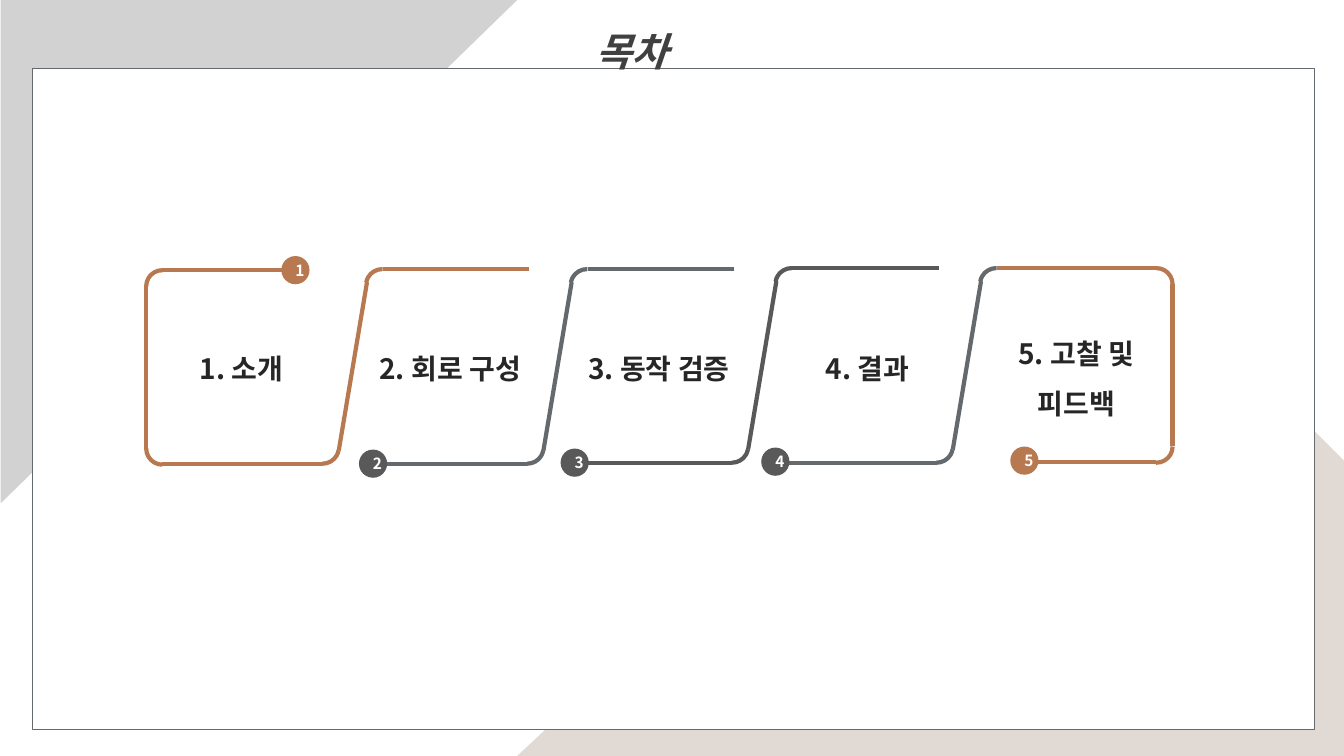
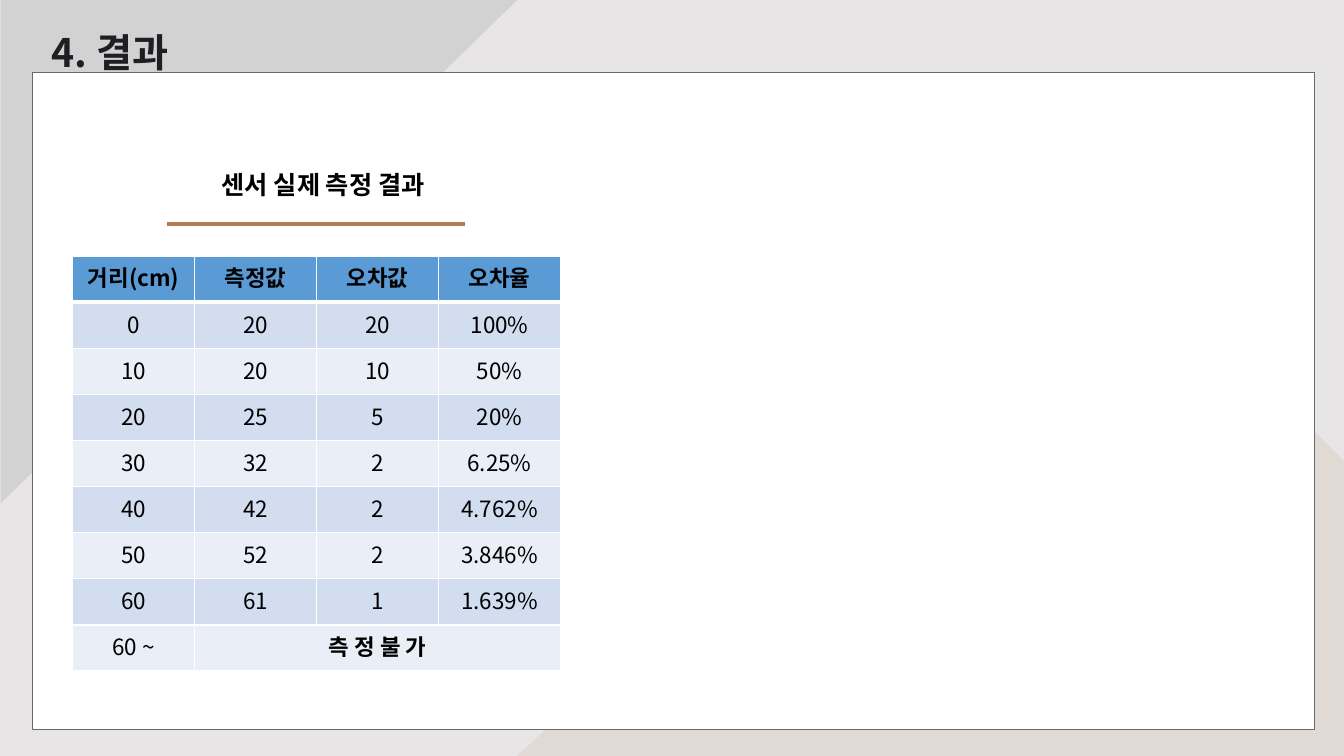
from dataclasses import dataclass

from lxml import etree
from pptx import Presentation
from pptx.dml.color import RGBColor
from pptx.enum.shapes import MSO_CONNECTOR, MSO_SHAPE
from pptx.enum.text import MSO_ANCHOR, MSO_AUTO_SIZE, PP_ALIGN
from pptx.oxml.ns import qn
from pptx.util import Pt

# Scale: 100 px to the inch
PX = 9144
SLIDE_WIDTH, SLIDE_HEIGHT = 1333, 750

FONT = "Noto Sans CJK KR"
WHITE = RGBColor(0xFF, 0xFF, 0xFF)
BLACK = RGBColor(0x00, 0x00, 0x00)
INK = RGBColor(0x1E, 0x1E, 0x23)
TITLE_GRAY = RGBColor(0x40, 0x40, 0x40)
LABEL_GRAY = RGBColor(0x26, 0x26, 0x26)
COPPER = RGBColor(0xB8, 0x78, 0x50)
SLATE = RGBColor(0x64, 0x69, 0x6D)
CHARCOAL = RGBColor(0x59, 0x59, 0x59)
CORNER_GRAY = RGBColor(0xD2, 0xD2, 0xD2)
CORNER_BEIGE = RGBColor(0xE1, 0xDA, 0xD4)
PALE_GRAY = RGBColor(0xE7, 0xE5, 0xE6)
HEADER_BLUE = RGBColor(0x5B, 0x9B, 0xD5)
BANDS = (RGBColor(0xD2, 0xDE, 0xEF), RGBColor(0xEA, 0xEF, 0xF7))

ARC, ELLIPSE = MSO_SHAPE.ARC, MSO_SHAPE.OVAL
RECTANGLE, TRIANGLE = MSO_SHAPE.RECTANGLE, MSO_SHAPE.RIGHT_TRIANGLE
STRAIGHT = MSO_CONNECTOR.STRAIGHT
LEFT, CENTER = PP_ALIGN.LEFT, PP_ALIGN.CENTER
TOP, MIDDLE = MSO_ANCHOR.TOP, MSO_ANCHOR.MIDDLE

RIBBON_WIDTH = 3
CORNER_SIZE = 32
BADGE_SIZE = 28
SQUARE_START, SLANTED_START, ARC_END = 162, 168, 1.2


@dataclass(frozen=True)
class Box:
    left: int
    top: int
    width: int
    height: int

    def emu(self) -> tuple[int, ...]:
        return tuple(v * PX for v in (self.left, self.top, self.width, self.height))


@dataclass(frozen=True)
class TextStyle:
    size: int
    color: RGBColor
    bold: bool = True
    italic: bool = False
    align: PP_ALIGN = CENTER
    spacing: float = 1.0


@dataclass(frozen=True)
class Stroke:
    x1: int
    y1: int
    x2: int
    y2: int


@dataclass(frozen=True)
class Corner:
    left: int
    top: int
    rotation: int
    start: int = SQUARE_START


@dataclass(frozen=True)
class Bend:
    color: RGBColor
    top_color: RGBColor
    top_length: int = 145


@dataclass(frozen=True)
class Step:
    label: str
    badge_left: int
    badge_top: int
    badge_color: RGBColor


LABEL_STYLE = TextStyle(20, LABEL_GRAY, spacing=1.5)
BADGE_STYLE = TextStyle(11, WHITE)
HEADING_STYLE = TextStyle(18, BLACK)
HEADER_STYLE = TextStyle(16, BLACK)
VALUE_STYLE = TextStyle(16, BLACK, bold=False)

BENDS = (
    Bend(COPPER, COPPER),
    Bend(SLATE, SLATE),
    Bend(CHARCOAL, CHARCOAL),
    Bend(SLATE, COPPER, 159),
)
END_STROKES = (
    Stroke(161, 268, 287, 268),
    Stroke(145, 283, 145, 444),
    Stroke(1147, 458, 1021, 458),
    Stroke(1163, 442, 1163, 282),
)
END_CORNERS = (
    Corner(145, 268, 270),
    Corner(145, 429, 180),
    Corner(1131, 427, 90),
    Corner(1131, 266, 0),
)
STEPS = (
    Step("1. 소개", 279, 254, COPPER),
    Step("2. 회로 구성", 356, 446, CHARCOAL),
    Step("3. 동작 검증", 556, 445, CHARCOAL),
    Step("4. 결과", 755, 444, CHARCOAL),
    Step("5. 고찰 및 피드백", 1002, 443, COPPER),
)
MEASUREMENTS = (
    ("거리(cm)", "측정값", "오차값", "오차율"),
    ("0", "20", "20", "100%"),
    ("10", "20", "10", "50%"),
    ("20", "25", "5", "20%"),
    ("30", "32", "2", "6.25%"),
    ("40", "42", "2", "4.762%"),
    ("50", "52", "2", "3.846%"),
    ("60", "61", "1", "1.639%"),
    ("60 ~", "측 정 불 가"),
)


# Drawing helpers
def write(text_frame, text: str, style: TextStyle) -> None:
    paragraph = text_frame.paragraphs[0]
    paragraph.alignment = style.align
    paragraph.line_spacing = style.spacing
    run = paragraph.add_run()
    run.text = text
    font = run.font
    font.name, font.size = FONT, Pt(style.size)
    font.bold, font.italic = style.bold, style.italic
    font.color.rgb = style.color
    properties = run._r.get_or_add_rPr()
    etree.SubElement(properties, qn("a:ea"), typeface=FONT)


def paint(shape, fill: RGBColor | None, line: RGBColor | None = None, width: int = 1) -> None:
    shape.shadow.inherit = False
    if fill is None:
        shape.fill.background()
    else:
        shape.fill.solid()
        shape.fill.fore_color.rgb = fill
    if line is None:
        shape.line.fill.background()
    else:
        shape.line.color.rgb = line
        shape.line.width = Pt(width)


def draw_stroke(slide, stroke: Stroke, color: RGBColor) -> None:
    ends = (stroke.x1, stroke.y1, stroke.x2, stroke.y2)
    connector = slide.shapes.add_connector(STRAIGHT, *(v * PX for v in ends))
    connector.line.color.rgb = color
    connector.line.width = Pt(RIBBON_WIDTH)
    etree.SubElement(connector.element.spPr, qn("a:effectLst"))


def draw_corner(slide, corner: Corner, color: RGBColor) -> None:
    box = Box(corner.left, corner.top, CORNER_SIZE, CORNER_SIZE)
    arc = slide.shapes.add_shape(ARC, *box.emu())
    arc.adjustments[0], arc.adjustments[1] = corner.start, ARC_END
    arc.rotation = corner.rotation
    paint(arc, None, color, RIBBON_WIDTH)


def draw_bend(slide, index: int, bend: Bend) -> None:
    x, rise = 203 * index, index // 2
    bottom, top = 460 - rise, 267 - rise
    draw_stroke(slide, Stroke(161 + x, bottom, 320 + x, bottom), bend.color)
    draw_corner(slide, Corner(304 + x, bottom - 32, 90, SLANTED_START), bend.color)
    draw_stroke(slide, Stroke(336 + x, bottom - 13, 364 + x, top + 13), bend.color)
    draw_corner(slide, Corner(363 + x, top, 270, SLANTED_START), bend.color)
    draw_stroke(slide, Stroke(380 + x, top, 380 + x + bend.top_length, top), bend.top_color)


def draw_step(slide, index: int, step: Step) -> None:
    last = index == len(STEPS) - 1
    left = 150 + 207 * index
    box = Box(left, 312, 179, 105) if last else Box(left, 327, 179, 54)
    label = slide.shapes.add_textbox(*box.emu())
    label.text_frame.word_wrap = True
    write(label.text_frame, step.label, LABEL_STYLE)

    badge_box = Box(step.badge_left, step.badge_top, BADGE_SIZE, BADGE_SIZE)
    badge = slide.shapes.add_shape(ELLIPSE, *badge_box.emu())
    paint(badge, step.badge_color)
    badge.text_frame.vertical_anchor = MIDDLE
    write(badge.text_frame, str(index + 1), BADGE_STYLE)


def set_border(cell, side: str, color: RGBColor, width: int) -> None:
    properties = cell._tc.get_or_add_tcPr()
    line = etree.SubElement(properties, qn(f"a:ln{side}"), w=str(Pt(width)))
    fill = etree.SubElement(line, qn("a:solidFill"))
    etree.SubElement(fill, qn("a:srgbClr"), val=str(color))


# Shared frame: background, corner pieces, panel and title
def add_framed_slide(presentation, background: RGBColor, panel_top: int,
                     title_text: str, title_box: Box, title_style: TextStyle):
    slide = presentation.slides.add_slide(presentation.slide_layouts[5])
    slide.background.fill.solid()
    slide.background.fill.fore_color.rgb = background

    builder = slide.shapes.build_freeform(1044, 254, scale=PX)
    builder.add_line_segments(
        [(1130, 254), (SLIDE_WIDTH, 457), (SLIDE_WIDTH, SLIDE_HEIGHT), (513, SLIDE_HEIGHT)])
    paint(builder.convert_to_shape(), CORNER_BEIGE)

    triangle = slide.shapes.add_shape(TRIANGLE, *Box(7, -7, 500, 513).emu())
    triangle.rotation = 90
    paint(triangle, CORNER_GRAY)

    panel_box = Box(32, panel_top, 1272, 724 - panel_top)
    paint(slide.shapes.add_shape(RECTANGLE, *panel_box.emu()), WHITE, SLATE)

    # The title overlaps the panel, so it goes to the front
    title = slide.shapes.title
    title.left, title.top, title.width, title.height = title_box.emu()
    title.element.getparent().append(title.element)
    text_frame = title.text_frame
    text_frame.word_wrap = True
    text_frame.auto_size = MSO_AUTO_SIZE.NONE
    text_frame.vertical_anchor = TOP
    write(text_frame, title_text, title_style)
    return slide


def add_contents_slide(presentation) -> None:
    style = TextStyle(28, TITLE_GRAY, italic=True, spacing=1.5)
    slide = add_framed_slide(presentation, WHITE, 68, "목차", Box(293, -1, 667, 72), style)
    for index, bend in enumerate(BENDS):
        draw_bend(slide, index, bend)
    for stroke in END_STROKES:
        draw_stroke(slide, stroke, COPPER)
    for corner in END_CORNERS:
        draw_corner(slide, corner, COPPER)
    for index, step in enumerate(STEPS):
        draw_step(slide, index, step)


def add_results_slide(presentation) -> None:
    style = TextStyle(28, INK, align=LEFT, spacing=1.5)
    slide = add_framed_slide(presentation, PALE_GRAY, 72, "4. 결과", Box(41, 0, 273, 72), style)

    # Underlined heading
    heading = slide.shapes.add_table(1, 1, *Box(165, 143, 297, 79).emu()).table
    cell = heading.cell(0, 0)
    set_border(cell, "B", COPPER, 3)
    cell.fill.background()
    cell.vertical_anchor = MIDDLE
    cell.margin_left = 24 * PX
    write(cell.text_frame, "센서 실제 측정 결과", HEADING_STYLE)

    # Measurements
    row_count, column_count = len(MEASUREMENTS), len(MEASUREMENTS[0])
    box = Box(72, 254, 484, 412)
    table = slide.shapes.add_table(row_count, column_count, *box.emu()).table
    last = row_count - 1
    for row in range(row_count):
        for column in range(column_count):
            cell = table.cell(row, column)
            for side in "LRTB":
                thick = (row == 0 and side == "B") or (row == 1 and side == "T")
                set_border(cell, side, WHITE, 3 if thick else 1)
            cell.fill.solid()
            cell.fill.fore_color.rgb = BANDS[(row - 1) % 2] if row else HEADER_BLUE
    table.cell(last, 1).merge(table.cell(last, column_count - 1))
    for row, values in enumerate(MEASUREMENTS):
        for column, value in enumerate(values):
            bold = row == 0 or (row == last and column == 1)
            write(table.cell(row, column).text_frame, value, HEADER_STYLE if bold else VALUE_STYLE)


def main() -> None:
    presentation = Presentation()
    presentation.slide_width = SLIDE_WIDTH * PX
    presentation.slide_height = SLIDE_HEIGHT * PX
    add_contents_slide(presentation)
    add_results_slide(presentation)
    presentation.save("out.pptx")


if __name__ == "__main__":
    main()
